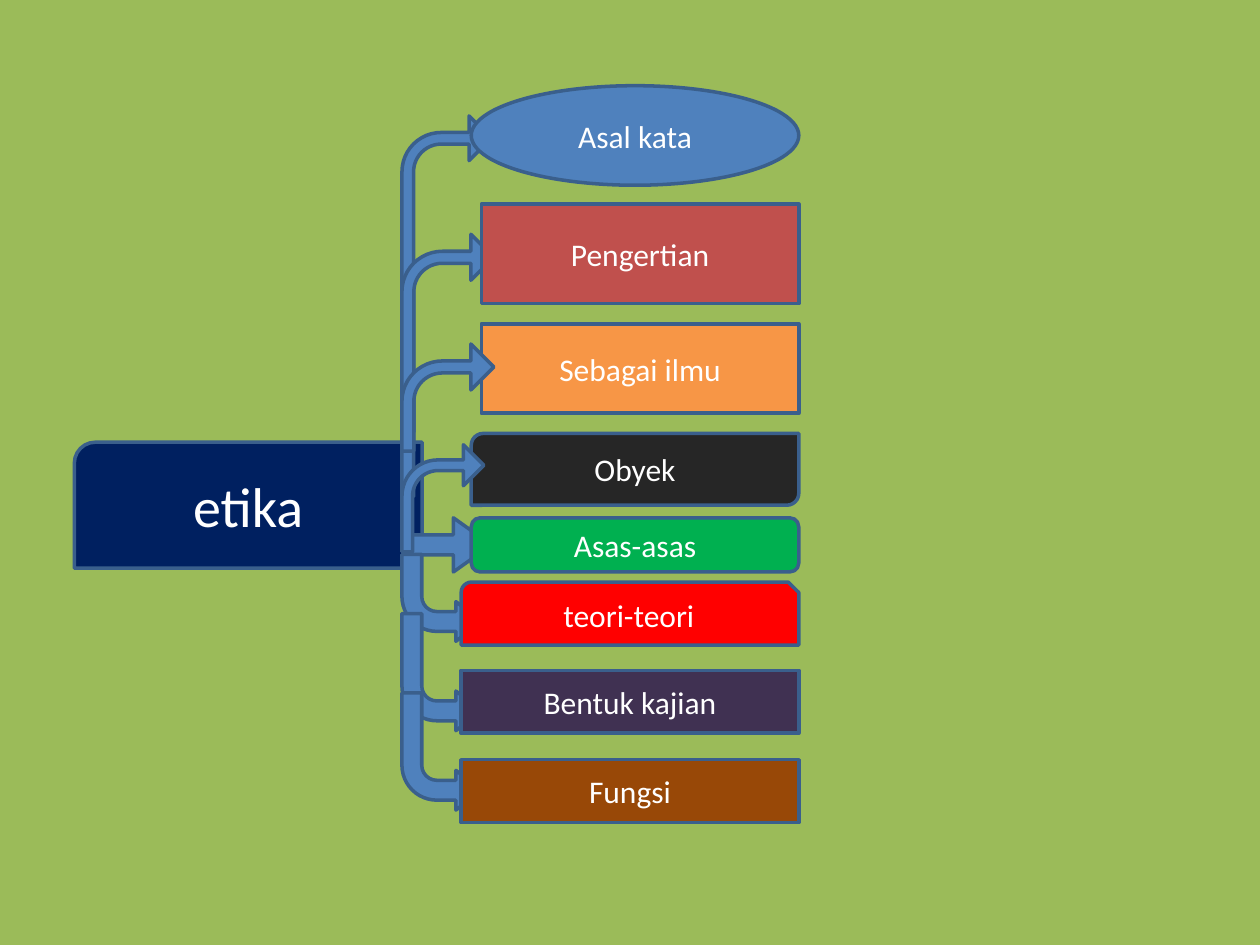
from dataclasses import dataclass

import pptx
import pptx.dml.color
import pptx.enum.shapes
import pptx.enum.text
import pptx.util

Kind = pptx.enum.shapes.MSO_SHAPE
BLUE, EDGE, WHITE = "4F81BD", "3A5F8C", "FFFFFF"
STEM, RIGHT = 3.19, 6.34


@dataclass
class Box:
    text: str
    left: float
    top: float
    high: float
    fill: str
    kind: Kind = Kind.RECTANGLE
    right: float = RIGHT
    size: int = 18


@dataclass
class Arrow:
    top: float
    wide: float
    high: float
    ratios: tuple[float, ...]
    left: float = STEM
    kind: Kind = Kind.BENT_ARROW
    flip: bool = False


def color(code: str) -> pptx.dml.color.RGBColor:
    return pptx.dml.color.RGBColor.from_string(code)


def draw_shape(slide, kind: Kind, left: float, top: float, wide: float, high: float, fill: str):
    spot = [pptx.util.Inches(n) for n in (left, top, wide, high)]
    shape = slide.shapes.add_shape(kind, *spot)
    shape.shadow.inherit = False
    shape.fill.solid()
    shape.fill.fore_color.rgb = color(fill)
    shape.line.color.rgb = color(EDGE)
    shape.line.width = pptx.util.Pt(2)
    return shape


def draw_box(slide, box: Box) -> None:
    shape = draw_shape(slide, box.kind, box.left, box.top, box.right - box.left, box.high, box.fill)
    frame = shape.text_frame
    frame.word_wrap = True
    frame.vertical_anchor = pptx.enum.text.MSO_ANCHOR.MIDDLE
    line = frame.paragraphs[0]
    line.text = box.text
    line.alignment = pptx.enum.text.PP_ALIGN.CENTER
    line.font.name = "Calibri"
    line.font.size = pptx.util.Pt(box.size)
    line.font.color.rgb = color(WHITE)


def draw_arrow(slide, arrow: Arrow) -> None:
    shape = draw_shape(slide, arrow.kind, arrow.left, arrow.top, arrow.wide, arrow.high, BLUE)
    for spot, ratio in enumerate(arrow.ratios):
        shape.adjustments[spot] = ratio
    if arrow.flip:
        shape._element.spPr.xfrm.set("flipV", "1")


def rise(top: float, wide: float, high: float) -> Arrow:
    return Arrow(top, wide, high, (0.13, 0.25, 0.25, 0.44))


def drop(top: float, high: float) -> Arrow:
    return Arrow(top, 0.63, high, (0.25, 0.25, 0.32, 0.44), flip=True)


ITEMS = [
    Box("etika", 0.59, 3.51, 1, "002060", Kind.ROUND_2_DIAG_RECTANGLE, 3.35, 32),
    rise(0.92, 0.71, 3.02),
    Box("Asal kata", 3.74, 0.68, 0.79, BLUE, Kind.OVAL),
    rise(1.86, 0.73, 1.57),
    Box("Pengertian", 3.82, 1.62, 0.79, "C0504D"),
    Arrow(4.11, 0.63, 0.43, (0.37, 0.7), 3.27, Kind.RIGHT_ARROW),
    Box("Sebagai ilmu", 3.82, 2.57, 0.71, "F79646"),
    drop(4.4, 0.69),
    Box("teori-teori", 3.66, 4.62, 0.5, "FF0000", Kind.SNIP_ROUND_RECTANGLE),
    Box("Obyek", 3.74, 3.44, 0.57, "262626", Kind.ROUND_2_DIAG_RECTANGLE),
    rise(2.73, 0.73, 0.85),
    drop(4.87, 0.93),
    Box("Bentuk kajian", 3.66, 5.32, 0.5, "403152"),
    drop(5.5, 0.93),
    Box("Fungsi", 3.66, 6.03, 0.5, "984807"),
    rise(3.53, 0.65, 0.85),
    Box("Asas-asas", 3.74, 4.11, 0.43, "00B050", Kind.ROUNDED_RECTANGLE),
]

deck = pptx.Presentation()
deck.slide_width = pptx.util.Inches(10)
deck.slide_height = pptx.util.Inches(7.5)
slide = deck.slides.add_slide(deck.slide_layouts[6])
slide.background.fill.solid()
slide.background.fill.fore_color.rgb = color("9BBB59")
for item in ITEMS:
    if isinstance(item, Box):
        draw_box(slide, item)
    else:
        draw_arrow(slide, item)
deck.save("out.pptx")
